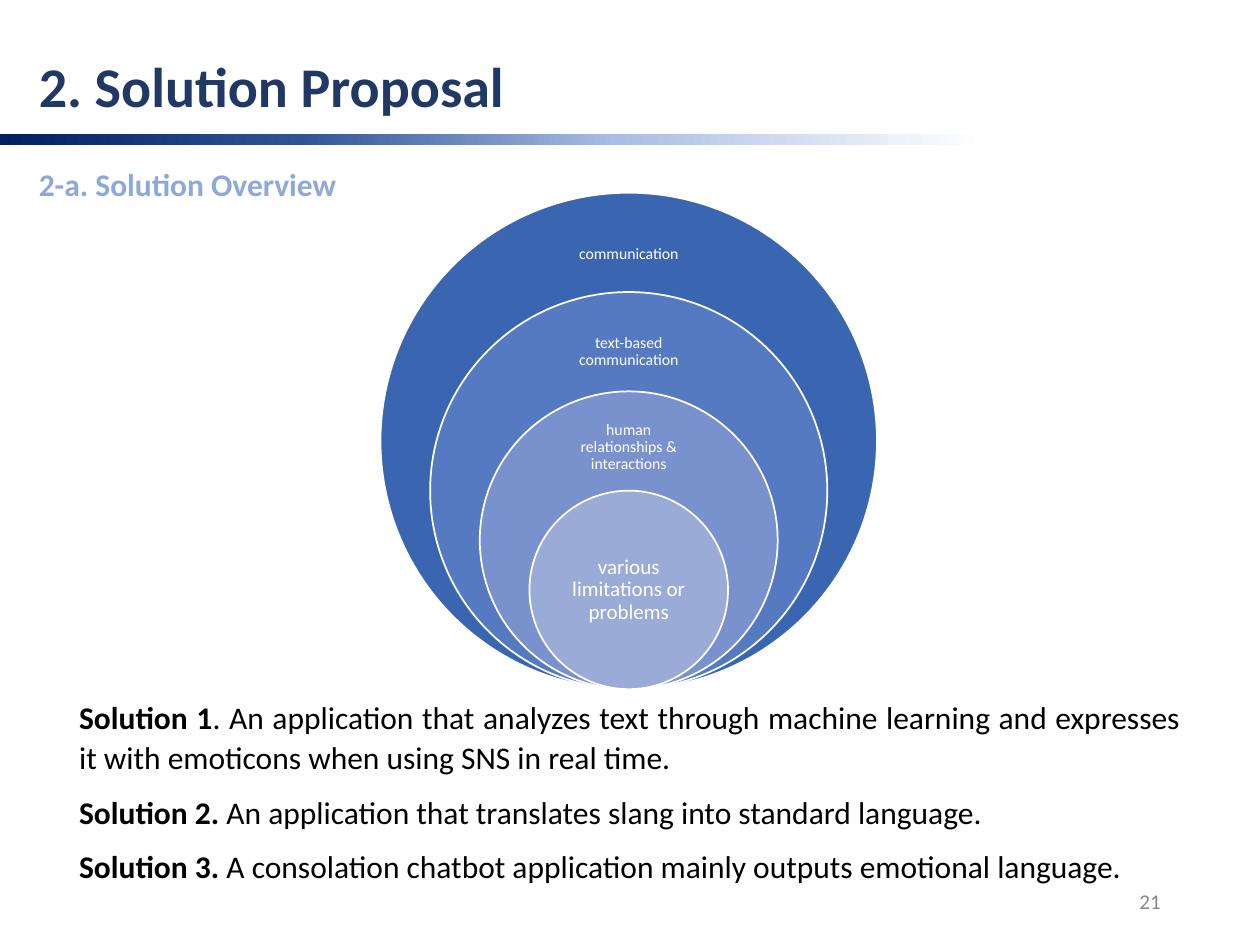
import pptx
import pptx.dml.color
import pptx.enum.shapes
import pptx.enum.text
import pptx.oxml
import pptx.oxml.ns
import pptx.util
from lxml import etree

ALIGN = pptx.enum.text.PP_ALIGN
ANCHOR = pptx.enum.text.MSO_ANCHOR
SHAPE = pptx.enum.shapes.MSO_SHAPE

# Slide grid: 100 columns by 75 rows of square cells
COLS, ROWS = 100, 75
CELL = pptx.util.Inches(0.1)

BAR_STOPS = [(0, "002060"), (24, "2F5496"), (49, "A9BEE4"),
             (78, "FFFFFF"), (100, "FFFFFF")]

# text, fill, size; then shares of the circle's own diameter:
# label width, label top, label height; then label inset in cells
CIRCLES = [
    ("communication", "3A66B1", 9, 0.28, 0.05, 0.15, 0.7),
    ("text-based communication", "567AC2", 9, 0.35, 0.06, 0.18, 0.7),
    ("human relationships & interactions", "7992CD", 9, 0.465, 0.075, 0.225, 0.7),
    ("various limitations or problems", "9BABD7", 12, 0.71, 0.25, 0.5, 0.9),
]

SOLUTIONS = [
    ("Solution 1", ". An application that analyzes text through machine learning "
                   "and expresses it with emoticons when using SNS in real time."),
    ("Solution 2.", " An application that translates slang into standard language."),
    ("Solution 3.", " A consolation chatbot application mainly outputs emotional language."),
]


def color(value):
    return pptx.dml.color.RGBColor.from_string(value)


def cells(*values):
    return [int(v * CELL) for v in values]


def apply(obj, formats):
    for name, value in formats.items():
        setattr(obj, name, value)


def add_run(p, text, size, fill, bold=False):
    r = p.add_run()
    r.text = text
    apply(r.font, {"name": "Calibri", "size": pptx.util.Pt(size), "bold": bold})
    r.font.color.rgb = color(fill)


def add_text(s, box, paragraphs, formats=None, anchor=ANCHOR.TOP, insets=(1, 0.5)):
    """Each paragraph is a list of (text, size, colour, bold) runs."""
    tf = s.shapes.add_textbox(*cells(*box)).text_frame
    dx, dy = cells(*insets)
    apply(tf, {"word_wrap": True, "vertical_anchor": anchor,
               "margin_left": dx, "margin_right": dx,
               "margin_top": dy, "margin_bottom": dy})
    for i, runs in enumerate(paragraphs):
        p = tf.add_paragraph() if i else tf.paragraphs[0]
        apply(p, formats or {})
        if i:
            p.space_before = pptx.util.Pt(8)
        for run in runs:
            add_run(p, *run)


def add_bar(s, box):
    sp = s.shapes.add_shape(SHAPE.RECTANGLE, *cells(*box))
    sp.shadow.inherit = False
    sp.line.fill.background()
    sp.fill.gradient()
    sp.fill.gradient_angle = 0
    qn = pptx.oxml.ns.qn
    stops = sp._element.spPr.find(".//" + qn("a:gsLst"))
    for old in list(stops):
        stops.remove(old)
    for pos, value in BAR_STOPS:
        gs = etree.SubElement(stops, qn("a:gs"), pos=str(pos * 1000))
        etree.SubElement(gs, qn("a:srgbClr"), val=value)


def add_header(s, box):
    x, y, w, h = box
    add_bar(s, (-0.1, y + 7, COLS, 0.9))
    add_text(s, (x, y, w, 6.4), [[("2. Solution Proposal", 32, "1F3864", True)]])
    add_text(s, (x, y + 9, w, h - 9), [[("2-a. Solution Overview", 18, "8DA9DB", True)]])


def add_nested_circles(s, box):
    """Circles share the bottom point; each is a fifth of the box smaller."""
    x, y, size, _ = box
    for i, (text, fill, pt, lw, top, lh, inset) in enumerate(CIRCLES):
        d = size * (1 - 0.2 * i)
        cx, cy = x + size / 2, y + size - d
        sp = s.shapes.add_shape(SHAPE.OVAL, *cells(cx - d / 2, cy, d, d))
        sp.shadow.inherit = False
        sp.fill.solid()
        sp.fill.fore_color.rgb = color(fill)
        sp.line.color.rgb = color("FFFFFF")
        sp.line.width = pptx.util.Pt(1)
        add_text(s, (cx - lw * d / 2, cy + top * d, lw * d, lh * d),
                 [[(text, pt, "FFFFFF")]],
                 {"alignment": ALIGN.CENTER, "line_spacing": 0.9},
                 ANCHOR.MIDDLE, (inset, inset))


def add_solutions(s, box):
    add_text(s, box,
             [[(name, 18, "000000", True), (rest, 18, "000000")]
              for name, rest in SOLUTIONS],
             {"alignment": ALIGN.JUSTIFY, "line_spacing": 1.07})


def add_page_number(s, box):
    add_text(s, box, [[("21", 12, "888888")]],
             {"alignment": ALIGN.RIGHT}, ANCHOR.MIDDLE)


def main():
    prs = pptx.Presentation()
    prs.slide_width, prs.slide_height = cells(COLS, ROWS)
    s = prs.slides.add_slide(prs.slide_layouts[6])
    add_header(s, (2.1, 3.6, 77.4, 13))
    add_solutions(s, (5.3, 54.7, 89.4, 16))
    add_nested_circles(s, (30.2, 15.3, 39.4, 39.4))
    add_page_number(s, (70.6, 69.5, 22.5, 4))
    prs.save("out.pptx")


if __name__ == "__main__":
    main()
